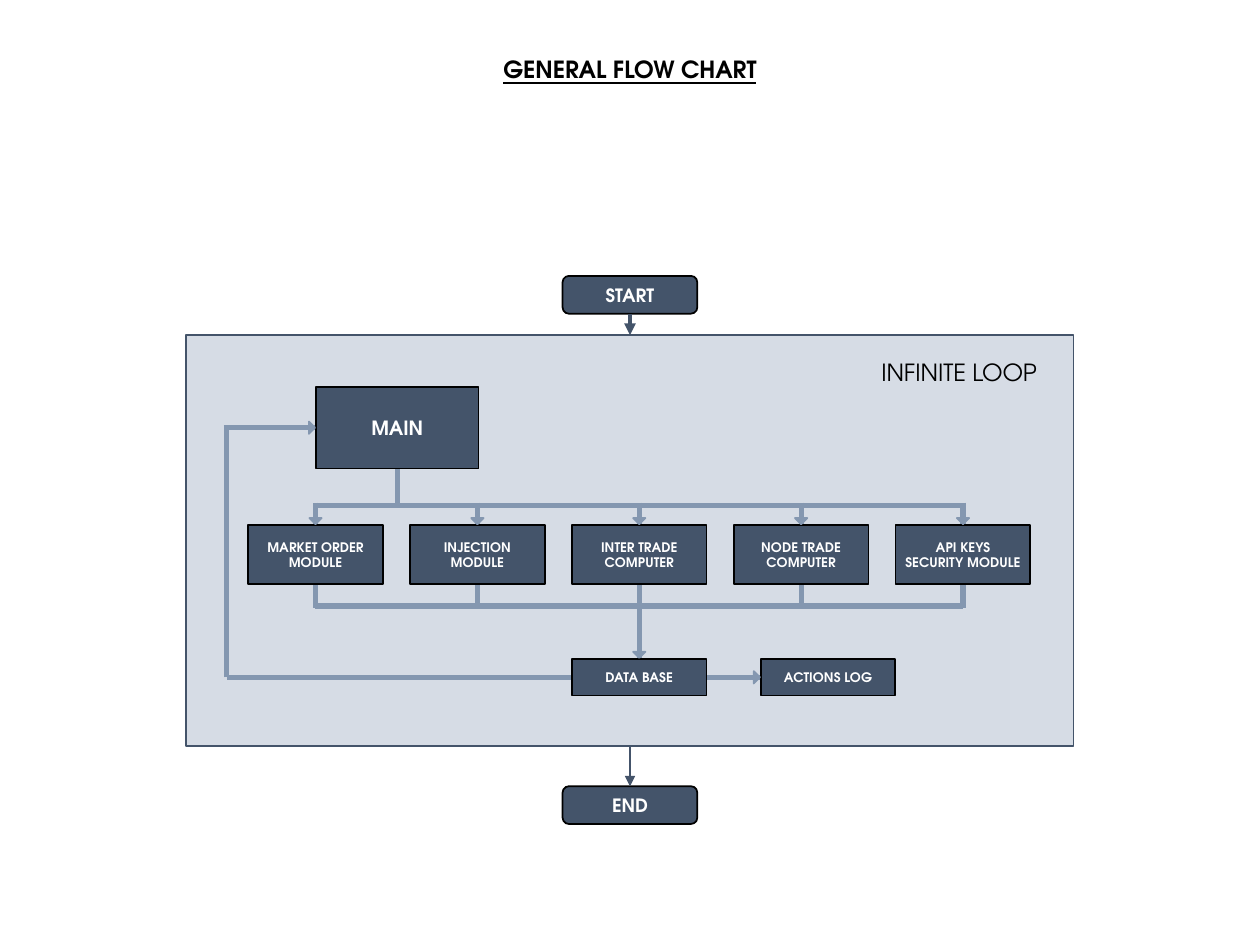
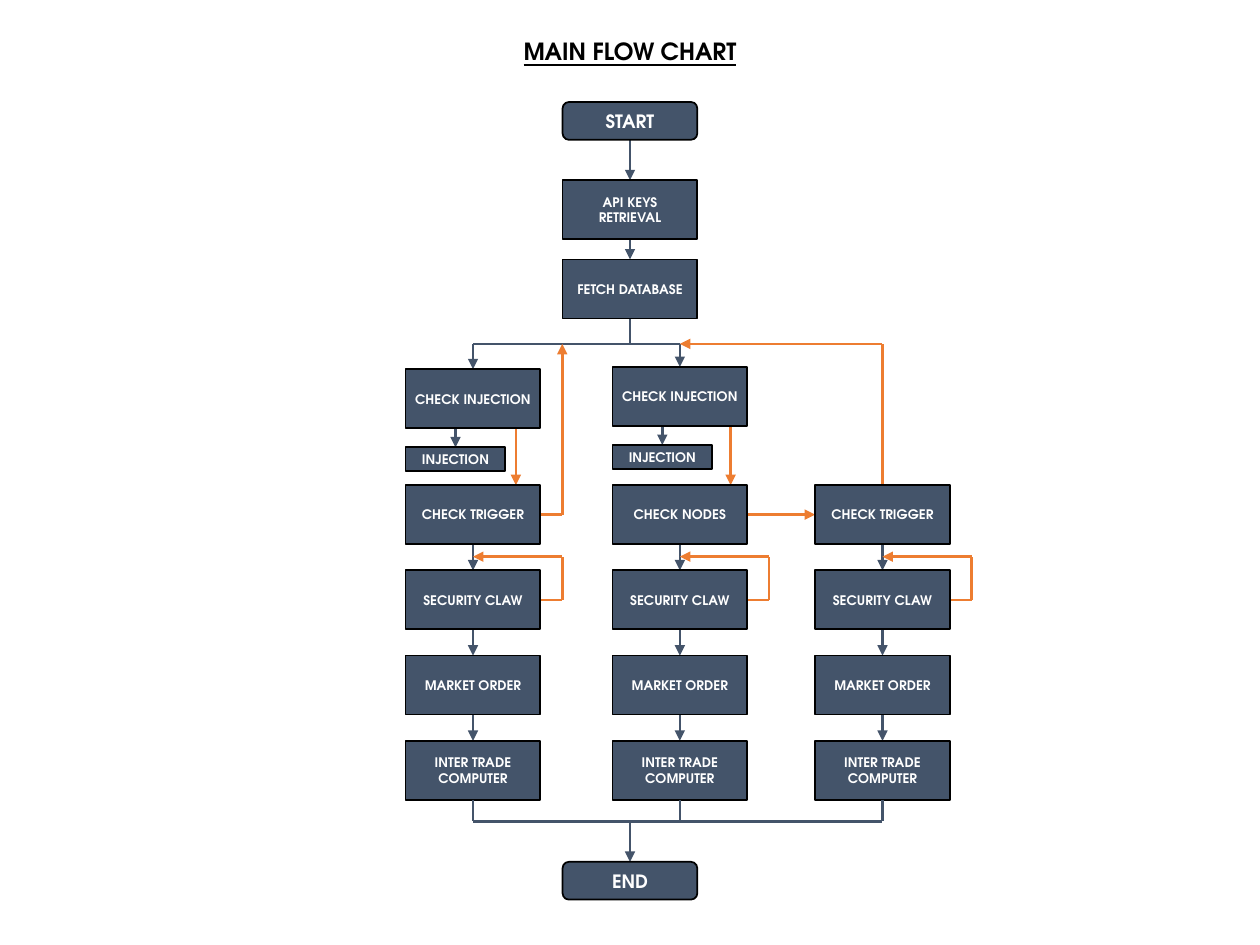
from itertools import pairwise

from lxml.etree import SubElement
from pptx import Presentation
from pptx.dml.color import RGBColor
from pptx.enum.shapes import MSO_CONNECTOR, MSO_SHAPE
from pptx.enum.text import MSO_ANCHOR, PP_ALIGN
from pptx.oxml.ns import qn
from pptx.util import Pt

COLORS = {
    "navy": "44546A", "steel": "8497B0", "panel": "D6DCE5",
    "orange": "ED7D31", "black": "000000", "white": "FFFFFF",
}
FONT = "TeX Gyre Adventor"
SLIDE_WIDTH, SLIDE_HEIGHT = 720, 540
CENTER = SLIDE_WIDTH / 2
BOX_WIDTH, BOX_HEIGHT = 77, 33.8
TERMINAL_HEIGHT = 21.6
ARROW_SIZE = 5


def color(name):
    """Return the named colour of the deck."""
    return RGBColor.from_string(COLORS[name])


def format_text(shape, size, color_name, align, bold=True, underline=None):
    """Give every paragraph of a shape the deck's font."""
    for paragraph in shape.text_frame.paragraphs:
        paragraph.alignment = align
        font = paragraph.font
        font.name, font.size = FONT, Pt(size)
        font.bold, font.underline = bold, underline
        font.color.rgb = color(color_name)


def add_title(slide, text, top):
    """Move and style the title placeholder."""
    title = slide.shapes.title
    width, height = 180, 24
    title.left, title.top = Pt(CENTER - width / 2), Pt(top)
    title.width, title.height = Pt(width), Pt(height)
    title.text_frame.text = text
    title.text_frame.vertical_anchor = MSO_ANCHOR.MIDDLE
    format_text(title, 13.5, "black", PP_ALIGN.CENTER, underline=True)


def add_block(slide, kind, left, top, width, height, fill, line):
    """Add a filled and outlined shape without shadow."""
    shape = slide.shapes.add_shape(kind, Pt(left), Pt(top), Pt(width), Pt(height))
    shape.shadow.inherit = False
    shape.fill.solid()
    shape.fill.fore_color.rgb = color(fill)
    shape.line.color.rgb = color(line)
    shape.line.width = Pt(1)
    return shape


def add_step(slide, text, left, top, width=BOX_WIDTH, height=BOX_HEIGHT, size=7.5,
             kind=MSO_SHAPE.RECTANGLE):
    """Add a labelled box of the flow."""
    shape = add_block(slide, kind, left, top, width, height, "navy", "black")
    frame = shape.text_frame
    frame.text = text
    frame.word_wrap = True
    frame.vertical_anchor = MSO_ANCHOR.MIDDLE
    frame.margin_left = frame.margin_right = Pt(5.4)
    frame.margin_top = frame.margin_bottom = Pt(0)
    format_text(shape, size, "white", PP_ALIGN.CENTER)


def add_terminal(slide, text, top):
    """Add a centred START or END box."""
    add_step(slide, text, CENTER - BOX_WIDTH / 2, top, height=TERMINAL_HEIGHT,
             size=10.5, kind=MSO_SHAPE.ROUNDED_RECTANGLE)


def add_route(slide, points, color_name="navy", width=1.5, arrow=True):
    """Join points by straight lines, with an arrowhead at the last one."""
    for (x1, y1), (x2, y2) in pairwise(points):
        connector = slide.shapes.add_connector(
            MSO_CONNECTOR.STRAIGHT, Pt(x1), Pt(y1), Pt(x2), Pt(y2))
        connector.line.color.rgb = color(color_name)
        connector.line.width = Pt(width)
        properties = connector._element.spPr
        SubElement(properties, qn("a:effectLst"))
    if arrow:
        SubElement(properties.find(qn("a:ln")), qn("a:tailEnd"), type="triangle")


def add_pipe(slide, *points):
    """Join points by thick steel lines."""
    add_route(slide, points, "steel", 3, arrow=False)


def add_pipe_head(slide, x, y, rotation):
    """Add a steel arrowhead centred on a point."""
    head = add_block(slide, MSO_SHAPE.HALF_FRAME, x - ARROW_SIZE / 2, y - ARROW_SIZE / 2,
                     ARROW_SIZE, ARROW_SIZE, "steel", "steel")
    head.rotation = rotation


def add_loop_panel(slide, left, top, width, height):
    """Draw the infinite loop with its modules inside a panel."""
    add_block(slide, MSO_SHAPE.RECTANGLE, left, top, width, height, "panel", "navy")
    label = slide.shapes.add_textbox(Pt(left + 390), Pt(top + 9.4), Pt(110), Pt(24))
    label.text_frame.text = "INFINITE LOOP"
    label.text_frame.word_wrap = True
    format_text(label, 13.5, "black", PP_ALIGN.LEFT, bold=False)

    modules = ["MARKET ORDER MODULE", "INJECTION MODULE", "INTER TRADE COMPUTER",
               "NODE TRADE COMPUTER", "API KEYS SECURITY MODULE"]
    module_lefts = [left + 35.3 + 92.5 * index for index in range(len(modules))]
    centers = [module_left + BOX_WIDTH / 2 for module_left in module_lefts]
    middle = centers[2]
    module_top = top + 108.7
    module_bottom = module_top + BOX_HEIGHT
    upper_bus, lower_bus = top + 97.2, top + 154.8

    main_left, main_top, main_width, main_height = left + 74, top + 29.5, 93, 46.8
    main_center, main_middle = main_left + main_width / 2, main_top + main_height / 2
    data_left, log_left = middle - BOX_WIDTH / 2, left + 328.2
    data_top, data_height = top + 185.1, 20.9
    data_middle = data_top + data_height / 2
    return_x = left + 23

    for center in centers:
        add_pipe(slide, (center, upper_bus - 1.5), (center, module_top))
        add_pipe(slide, (center, module_bottom), (center, lower_bus + 1))
    for bus in (upper_bus, lower_bus):
        add_pipe(slide, (centers[0], bus), (centers[-1], bus))
    add_pipe(slide, (main_center, main_top + main_height), (main_center, upper_bus))
    add_pipe(slide, (middle, lower_bus), (middle, data_top))
    add_pipe(slide, (data_left + BOX_WIDTH, data_middle), (log_left, data_middle))
    add_pipe(slide, (data_left, data_middle), (return_x, data_middle),
             (return_x, main_middle))
    add_pipe(slide, (return_x - 1.5, main_middle), (main_left, main_middle))

    add_step(slide, "MAIN", main_left, main_top, main_width, main_height, 11.2)
    for text, module_left in zip(modules, module_lefts):
        add_step(slide, text, module_left, module_top)
    for text, step_left in (("DATA BASE", data_left), ("ACTIONS LOG", log_left)):
        add_step(slide, text, step_left, data_top, height=data_height)

    for x, y in [(center, module_top) for center in centers] + [(middle, data_top)]:
        add_pipe_head(slide, x, y - 4.2, 225)
    for x, y in ((main_left, main_middle), (log_left, data_middle)):
        add_pipe_head(slide, x - 4, y, 135)


def add_injection_check(slide, left, top, next_top):
    """Draw an injection check, its side step and the way to the next step."""
    injection_left, injection_top = left, top + 44.6
    injection_width, injection_height = 57, 13.7
    bottom = top + BOX_HEIGHT
    injection_x = injection_left + injection_width / 2
    exit_x = left + BOX_WIDTH - 14 + (4 if left > CENTER - BOX_WIDTH else 0)
    if left + BOX_WIDTH / 2 > CENTER:
        exit_x = left + 67.5
    add_route(slide, [(injection_x, bottom), (injection_x, injection_top)])
    add_route(slide, [(exit_x, bottom), (exit_x, next_top)], "orange")
    add_step(slide, "CHECK INJECTION", left, top)
    add_step(slide, "INJECTION", injection_left, injection_top,
             injection_width, injection_height)


def add_trade_column(slide, left, top, first_step):
    """Draw four stacked steps with the retry loop; return the bottom."""
    steps = [first_step, "SECURITY CLAW", "MARKET ORDER", "INTER TRADE COMPUTER"]
    pitch = 48.7
    tops = [top + pitch * index for index in range(len(steps))]
    center, right = left + BOX_WIDTH / 2, left + BOX_WIDTH
    for upper, lower in pairwise(tops):
        add_route(slide, [(center, upper + BOX_HEIGHT), (center, lower)])
    retry_x, claw_middle, retry_y = right + 12.5, tops[1] + BOX_HEIGHT / 2, tops[1] - 7.8
    add_route(slide, [(right, claw_middle), (retry_x, claw_middle),
                      (retry_x, retry_y), (center, retry_y)], "orange")
    for text, step_top in zip(steps, tops):
        add_step(slide, text, left, step_top)
    return tops[-1] + BOX_HEIGHT


def build_general_slide(presentation):
    """Build the overview of the program's loop."""
    slide = presentation.slides.add_slide(presentation.slide_layouts[5])
    add_title(slide, "GENERAL FLOW CHART", 27.4)
    left, top, width, height = 106.5, 191.5, 507, 234.7
    start_top, end_top = 157.7, 449.3
    add_loop_panel(slide, left, top, width, height)
    add_terminal(slide, "START", start_top)
    add_terminal(slide, "END", end_top)
    add_route(slide, [(CENTER, start_top + TERMINAL_HEIGHT), (CENTER, top)], width=2.25)
    add_route(slide, [(CENTER, top + height), (CENTER, end_top)])


def build_main_slide(presentation):
    """Build the detailed flow with its three trade columns."""
    slide = presentation.slides.add_slide(presentation.slide_layouts[5])
    add_title(slide, "MAIN FLOW CHART", 17.3)
    start_top, keys_top, fetch_top, end_top = 58.3, 103, 148.3, 492.5
    bus_y, column_top, merge_y = 196.5, 277.2, 469.4
    lefts = [231.8, 350, 465.8]
    centers = [left + BOX_WIDTH / 2 for left in lefts]
    check_tops = [211, 209.7]
    first_steps = ["CHECK TRIGGER", "CHECK NODES", "CHECK TRIGGER"]

    add_route(slide, [(CENTER, start_top + TERMINAL_HEIGHT), (CENTER, keys_top)])
    add_route(slide, [(CENTER, keys_top + BOX_HEIGHT), (CENTER, fetch_top)])
    add_route(slide, [(CENTER, fetch_top + BOX_HEIGHT), (CENTER, bus_y)], arrow=False)
    for center, check_top in zip(centers, check_tops):
        add_route(slide, [(CENTER, bus_y), (center, bus_y), (center, check_top)])

    first_middle = column_top + BOX_HEIGHT / 2
    first_right = lefts[0] + BOX_WIDTH
    back_x = first_right + 12.5
    add_route(slide, [(first_right, first_middle), (back_x, first_middle),
                      (back_x, bus_y)], "orange")
    add_route(slide, [(lefts[1] + BOX_WIDTH, first_middle), (lefts[2], first_middle)],
              "orange")
    add_route(slide, [(centers[2], column_top), (centers[2], bus_y),
                      (centers[1], bus_y)], "orange")

    for left, check_top in zip(lefts, check_tops):
        add_injection_check(slide, left, check_top, column_top)
    for left, center, first_step in zip(lefts, centers, first_steps):
        bottom = add_trade_column(slide, left, column_top, first_step)
        add_route(slide, [(center, bottom), (center, merge_y)], arrow=False)
    add_route(slide, [(centers[0], merge_y), (centers[-1], merge_y)], arrow=False)
    add_route(slide, [(CENTER, merge_y), (CENTER, end_top)])

    add_terminal(slide, "START", start_top)
    for text, top in (("API KEYS RETRIEVAL", keys_top), ("FETCH DATABASE", fetch_top)):
        add_step(slide, text, CENTER - BOX_WIDTH / 2, top)
    add_terminal(slide, "END", end_top)


presentation = Presentation()
presentation.slide_width, presentation.slide_height = Pt(SLIDE_WIDTH), Pt(SLIDE_HEIGHT)
build_general_slide(presentation)
build_main_slide(presentation)
presentation.save("out.pptx")
